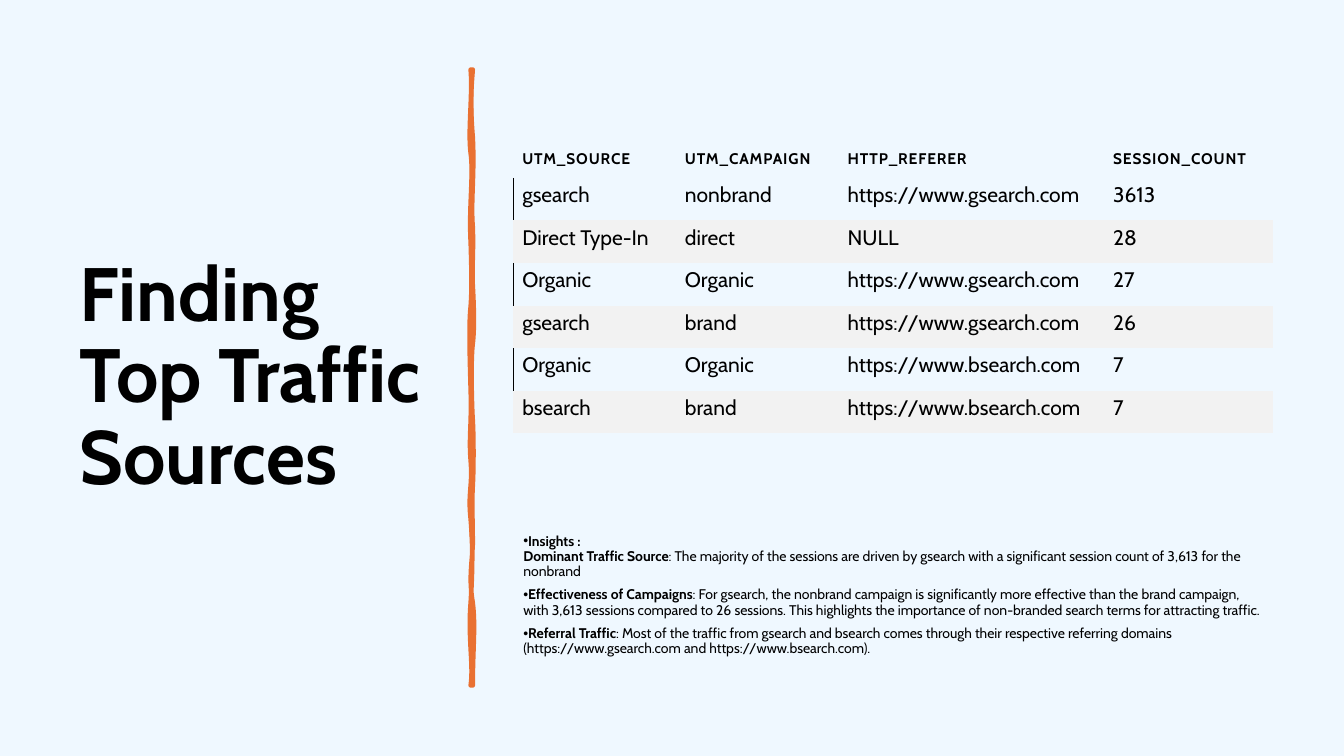
from copy import deepcopy
from dataclasses import dataclass

from lxml import etree
from pptx import Presentation
from pptx import util as u
from pptx.dml import color
from pptx.enum import text as t
from pptx.oxml import ns

Pt = u.Pt


@dataclass(frozen=True)
class Theme:
    font: str = "Cabin"
    ink: str = "000000"
    background: str = "EFF8FF"
    accent: str = "E97132"
    band: str = "F2F2F2"
    title_size: float = 54
    header_size: float = 11
    cell_size: float = 15
    insight_size: float = 10


THEME = Theme()
PLAIN_TABLE_STYLE = "{2D5ABB26-0587-4C30-8999-92F81FD0307C}"

# Shared column of the table and the insights
CONTENT_LEFT, CONTENT_WIDTH = 366.6, 542.9

COLUMN_WIDTHS = [116.2, 116.2, 189.7, 120.8]
HEADER_HEIGHT, ROW_HEIGHT = 28.5, 30.4
TRAFFIC = [
    ("UTM_SOURCE", "UTM_CAMPAIGN", "HTTP_REFERER", "SESSION_COUNT"),
    ("gsearch", "nonbrand", "https://www.gsearch.com", "3613"),
    ("Direct Type-In", "direct", "NULL", "28"),
    ("Organic", "Organic", "https://www.gsearch.com", "27"),
    ("gsearch", "brand", "https://www.gsearch.com", "26"),
    ("Organic", "Organic", "https://www.bsearch.com", "7"),
    ("bsearch", "brand", "https://www.bsearch.com", "7"),
]

# Each insight: bold lead lines, then plain text
INSIGHTS = [
    (["Insights :", "Dominant Traffic Source"],
     ": The majority of the sessions are driven by gsearch with a significant "
     "session count of 3,613 for the nonbrand"),
    (["Effectiveness of Campaigns"],
     ": For gsearch, the nonbrand campaign is significantly more effective than "
     "the brand campaign, with 3,613 sessions compared to 26 sessions. This "
     "highlights the importance of non-branded search terms for attracting traffic."),
    (["Referral Traffic"],
     ": Most of the traffic from gsearch and bsearch comes through their "
     "respective referring domains (https://www.gsearch.com and "
     "https://www.bsearch.com)."),
]

# Brush stroke: edges as control x, y, control x, y, end y of each curve
STROKE_LEFT, STROKE_RIGHT, STROKE_TOP, STROKE_BOTTOM = 336.2, 337.7, 49.7, 489.6
LINE_DOWN = [
    (337.7, 67.7, 334.1, 93.6, 109.4), (338.4, 124.6, 334.8, 147.6, 172.8),
    (337, 198.7, 337, 207.4, 218.9), (334.8, 231.1, 335.5, 254.2, 278.6),
    (337, 303.1, 334.8, 311.8, 329), (337.7, 347, 334.1, 352.1, 370.8),
    (337.7, 389.5, 337.7, 404.6, 430.6), (334.1, 455.8, 338.4, 475.2, STROKE_BOTTOM),
]
LINE_UP = [
    (337.7, 463, 339.8, 447.8, 430.6), (334.8, 413.3, 337, 403.9, 388.8),
    (337.7, 373.7, 337, 358.6, 347), (338.4, 335.5, 338.4, 311.8, 300.2),
    (337, 289.4, 336.2, 257, 245.5), (339.1, 234, 338.4, 216, 203.8),
    (337, 191.5, 338.4, 180, 162), (336.2, 144, 339.1, 124.6, 97.9),
    (335.5, 72, 337, 59.8, STROKE_TOP),
]
FILL_DOWN = [
    (334.1, 62.6, 337, 83.5, 104.4), (334.8, 126, 336.2, 146.2, 159.8),
    (336.2, 173.5, 334.1, 190.8, 218.9), (337.7, 247.7, 334.1, 254.2, 265.7),
    (337.7, 276.5, 335.5, 295.9, 324.7), (337, 353.5, 333.4, 367.9, 388.8),
    (339.1, 409.7, 333.4, 455, STROKE_BOTTOM),
]
FILL_UP = [
    (334.8, 464.4, 338.4, 452.9, 430.6), (336.2, 408.2, 338.4, 392.4, 375.1),
    (336.2, 357.8, 337, 347, 329), (338.4, 311.8, 335.5, 290.2, 274.3),
    (339.8, 257.8, 337, 243.4, 228.2), (337.7, 213.1, 335.5, 206.6, 186.5),
    (339.1, 165.6, 337.7, 157.7, 135.4), (337, 113.8, 339.1, 89.3, STROKE_TOP),
]


def paint(fill, colour):
    fill.solid()
    fill.fore_color.rgb = color.RGBColor.from_string(colour)


def add_text(paragraph, words, size, bold=False, spacing=None):
    run = paragraph.add_run()
    run.text = words
    font = run.font
    font.name, font.size, font.bold = THEME.font, Pt(size), bold
    paint(font.fill, THEME.ink)
    if spacing is not None:
        font._element.set("spc", str(round(spacing * 100)))
    return run


def place(holder, left, top, width, height):
    holder.left, holder.top = Pt(left), Pt(top)
    holder.width, holder.height = Pt(width), Pt(height)
    frame = holder.text_frame
    frame.word_wrap = True
    frame.auto_size = t.MSO_AUTO_SIZE.NONE
    return frame


def fill_title(holder, words):
    frame = place(holder, 49.7, 50.2, 269.3, 439.9)
    frame.vertical_anchor = t.MSO_ANCHOR.MIDDLE
    paragraph = frame.paragraphs[0]
    paragraph.alignment = t.PP_ALIGN.LEFT
    paragraph.line_spacing = 0.9
    add_text(paragraph, words, THEME.title_size, bold=True)


def add_bullet(paragraph):
    properties = paragraph._p.get_or_add_pPr()
    properties.set("marL", "0")
    properties.set("indent", str(-Pt(18)))
    etree.SubElement(properties, ns.qn("a:buChar"), char="•")


def fill_insights(holder, insights):
    frame = place(holder, CONTENT_LEFT, 377.8, CONTENT_WIDTH, 112.3)
    frame.vertical_anchor = t.MSO_ANCHOR.TOP
    for index, (leads, detail) in enumerate(insights):
        paragraph = frame.add_paragraph() if index else frame.paragraphs[0]
        add_bullet(paragraph)
        paragraph.line_spacing = 0.9
        paragraph.space_before, paragraph.space_after = Pt(0), Pt(6)
        for number, lead in enumerate(leads):
            if number:
                # The break takes the size of the line it ends
                paragraph.add_line_break()
                paragraph._p[-1].append(deepcopy(lead_run.font._element))
            lead_run = add_text(paragraph, lead, THEME.insight_size, bold=True)
        add_text(paragraph, detail, THEME.insight_size)


def add_step(contour, tag, *points):
    step = etree.SubElement(contour, ns.qn(tag))
    for x, y in points:
        etree.SubElement(step, ns.qn("a:pt"), x=str(Pt(x - STROKE_LEFT)),
                         y=str(Pt(y - STROKE_TOP)))


def draw_contour(contour, down, up):
    """Curves across the top, down the left, across the bottom, up the right."""
    for step in list(contour):
        contour.remove(step)
    add_step(contour, "a:moveTo", (STROKE_RIGHT, STROKE_TOP))
    sides = [(STROKE_LEFT, STROKE_TOP, down), (STROKE_RIGHT, STROKE_BOTTOM, up)]
    for x, y, edge in sides:
        add_step(contour, "a:cubicBezTo", (337, y), (x, y), (x, y))
        for x1, y1, x2, y2, end_y in edge:
            add_step(contour, "a:cubicBezTo", (x1, y1), (x2, y2), (x, end_y))
    etree.SubElement(contour, ns.qn("a:close"))


def add_brush_stroke(slide):
    outline = slide.shapes.build_freeform(Pt(STROKE_RIGHT), Pt(STROKE_TOP))
    outline.add_line_segments([(Pt(STROKE_LEFT), Pt(STROKE_TOP)),
                               (Pt(STROKE_LEFT), Pt(STROKE_BOTTOM)),
                               (Pt(STROKE_RIGHT), Pt(STROKE_BOTTOM))])
    stroke = outline.convert_to_shape()
    # One contour carries the line, the other the fill
    line_contour = stroke._element.find(".//" + ns.qn("a:path"))
    fill_contour = deepcopy(line_contour)
    line_contour.addnext(fill_contour)
    line_contour.set("fill", "none")
    fill_contour.set("stroke", "0")
    draw_contour(line_contour, LINE_DOWN, LINE_UP)
    draw_contour(fill_contour, FILL_DOWN, FILL_UP)
    stroke.shadow.inherit = False
    paint(stroke.fill, THEME.accent)
    paint(stroke.line.fill, THEME.accent)
    stroke.line.width = Pt(3.25)
    etree.SubElement(stroke.line._ln, ns.qn("a:round"))


def add_left_border(cell):
    border = etree.Element(ns.qn("a:lnL"), w=str(Pt(1)))
    fill = etree.SubElement(border, ns.qn("a:solidFill"))
    etree.SubElement(fill, ns.qn("a:srgbClr"), val=THEME.ink)
    cell._tc.get_or_add_tcPr().insert(0, border)


def fill_cell(cell, words, is_header, is_banded):
    cell.margin_left = cell.margin_right = cell.margin_bottom = Pt(6.5)
    cell.margin_top = Pt(6.5 if is_header else 3.3)
    cell.vertical_anchor = t.MSO_ANCHOR.BOTTOM if is_header else t.MSO_ANCHOR.TOP
    if is_banded:
        paint(cell.fill, THEME.band)
    else:
        cell.fill.background()
    add_text(cell.text_frame.paragraphs[0], words,
             THEME.header_size if is_header else THEME.cell_size,
             bold=is_header, spacing=0.6 if is_header else 0)


def add_traffic_table(slide, rows):
    height = HEADER_HEIGHT + ROW_HEIGHT * (len(rows) - 1)
    table = slide.shapes.add_table(len(rows), len(COLUMN_WIDTHS), Pt(CONTENT_LEFT),
                                   Pt(98.6), Pt(CONTENT_WIDTH), Pt(height)).table
    table.first_row = table.horz_banding = False
    table._tbl.tblPr.find(ns.qn("a:tableStyleId")).text = PLAIN_TABLE_STYLE
    for column, width in zip(table.columns, COLUMN_WIDTHS):
        column.width = Pt(width)
    for index, row in enumerate(rows):
        table.rows[index].height = Pt(ROW_HEIGHT if index else HEADER_HEIGHT)
        for column, words in enumerate(row):
            fill_cell(table.cell(index, column), words, index == 0,
                      index > 0 and index % 2 == 0)
        if index % 2:
            add_left_border(table.cell(index, 0))


def main():
    deck = Presentation()
    deck.slide_width, deck.slide_height = Pt(960), Pt(540)
    slide = deck.slides.add_slide(deck.slide_layouts[1])
    paint(slide.background.fill, THEME.background)
    fill_title(slide.shapes.title, "Finding Top Traffic Sources")
    add_brush_stroke(slide)
    fill_insights(slide.placeholders[1], INSIGHTS)
    add_traffic_table(slide, TRAFFIC)
    deck.save("out.pptx")


if __name__ == "__main__":
    main()
